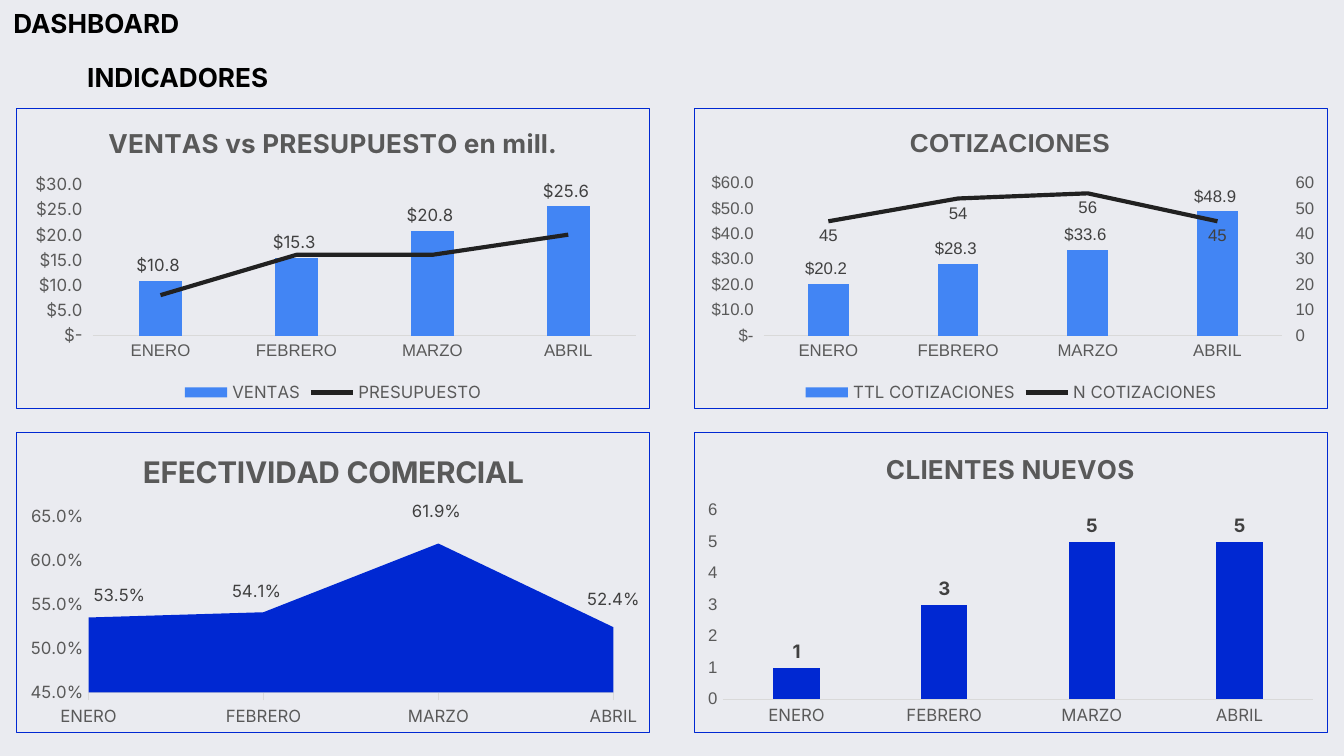
"""Build the sales dashboard slide with its four native charts."""
from copy import deepcopy
from pptx import Presentation
from pptx.chart.data import CategoryChartData
from pptx.dml.color import RGBColor
from pptx.enum.chart import (XL_CHART_TYPE, XL_LABEL_POSITION, XL_LEGEND_POSITION,
                             XL_MARKER_STYLE, XL_TICK_MARK)
from pptx.enum.text import MSO_ANCHOR, MSO_AUTO_SIZE, PP_ALIGN
from pptx.oxml import parse_xml
from pptx.oxml.ns import nsdecls, qn
from pptx.util import Pt

BAR, AREA = XL_CHART_TYPE.COLUMN_CLUSTERED, XL_CHART_TYPE.AREA_STACKED
OUTER, BELOW = XL_LABEL_POSITION.OUTSIDE_END, XL_LABEL_POSITION.BELOW
NONE, OUT = XL_TICK_MARK.NONE, XL_TICK_MARK.OUTSIDE
SCALE = 9144000 / 1344
WIDE, HIGH = 634, 301
LEFTS, TOPS = (16, 694), (108, 432)
INK, GRAY, DARK, RULE = "000000", "595959", "404040", "D9D9D9"
BLUE, SKY, COAL, BACK = "0028D2", "4285F4", "212121", "EAEBF0"
MONEY = '"$"#,##0.0_-;-"$"#,##0.0_-;"$-"_-'
MONTHS = ["ENERO", "FEBRERO", "MARZO", "ABRIL"]

HEADS = [("DASHBOARD", (0, 1, 548, 46)), ("INDICADORES", (74, 55, 260, 46))]
CHARTS = [
    dict(kind=BAR, title="VENTAS vs PRESUPUESTO en mill.", spot=(87, 12), size=14,
         face="Inter", plot=(76, 76, 545, 152), fonts=("Arial", "Inter", "Inter"),
         span=(0, 30, 5), fmt=MONEY, color=SKY,
         rows=[("VENTAS", [10.8, 15.3, 20.8, 25.6]), ("PRESUPUESTO", [8, 16, 16, 20])]),
    dict(kind=BAR, title="COTIZACIONES", spot=(211, 12), size=14,
         face="Arial", plot=(69, 75, 520, 153), fonts=("Arial", "Arial", "Arial"),
         span=(0, 60, 10), fmt=MONEY, color=SKY, right=True,
         rows=[("TTL COTIZACIONES", [20.2, 28.3, 33.6, 48.9]),
               ("N COTIZACIONES", [45, 54, 56, 45])]),
    dict(kind=AREA, title="EFECTIVIDAD COMERCIAL", spot=(121, 14), size=16,
         face="Inter", plot=(72, 84, 526, 177), fonts=("Inter", "Inter", "Inter"),
         span=(0.45, 0.65, 0.05), fmt="0.0%", color=BLUE,
         moves=[(31, -60), (-7, -61), (-2, -107), (0, -61)],
         rows=[("EFECTIVIDAD COMERCIAL", [0.535, 0.541, 0.619, 0.524])]),
    dict(kind=BAR, title="CLIENTES NUEVOS", spot=(187, 14), size=14,
         face="Inter", plot=(28, 78, 592, 190), fonts=("Inter", "Arial", "Inter"),
         span=(0, 6, 1), fmt="0", color=BLUE, bold=True,
         rows=[("Series 1", [1, 3, 5, 5])]),
]


def px(*nums):
    return [round(n * SCALE) for n in nums]


def rgb(code):
    return RGBColor.from_string(code)


def style(font, face, size, color, bold=False):
    font.name, font.size, font.bold = face, Pt(size), bold
    font.color.rgb = rgb(color)


def paint(line, color, width):
    line.color.rgb = rgb(color)
    line.width = Pt(width)


def place(node, index, spot, inner=False):
    for old in node.findall(qn("c:layout")):
        node.remove(old)
    vals = [v / side for v, side in zip(spot, (WIDE, HIGH, WIDE, HIGH))]
    tags = '<c:layoutTarget val="inner"/>' if inner else ""
    if node.tag != qn("c:dLbl"):
        tags += '<c:xMode val="edge"/><c:yMode val="edge"/>'
    tags += "".join(f'<c:{k} val="{v:.4f}"/>' for k, v in zip("xywh", vals))
    node.insert(index, parse_xml(
        f'<c:layout {nsdecls("c")}><c:manualLayout>{tags}</c:manualLayout></c:layout>'))


def frame(chart):
    root = chart.element
    for old in root.findall(qn("c:spPr")):
        root.remove(old)
    root.find(qn("c:chart")).addnext(parse_xml(
        f'<c:spPr {nsdecls("c", "a")}><a:noFill/><a:ln w="9525"><a:solidFill>'
        f'<a:srgbClr val="{BLUE}"/></a:solidFill></a:ln></c:spPr>'))


def set_axes(chart, item):
    cat, val = chart.category_axis, chart.value_axis
    for axis, face in zip((cat, val), item["fonts"]):
        style(axis.tick_labels.font, face, 9, GRAY)
        axis.has_major_gridlines = False
        axis.major_tick_mark = axis.minor_tick_mark = NONE
    paint(cat.format.line, RULE, 0.75)
    if item["kind"] == AREA:
        cat.major_tick_mark = OUT
    val.format.line.fill.background()
    val.minimum_scale, val.maximum_scale, val.major_unit = item["span"]
    val.tick_labels.number_format = item["fmt"]
    val.tick_labels.number_format_is_linked = False


def add_right(area):
    cat, val = (area.find(qn(tag)) for tag in ("c:catAx", "c:valAx"))
    new_cat, new_val = deepcopy(cat), deepcopy(val)
    val.addnext(new_val)
    new_val.addnext(new_cat)
    edits = [(new_val, {"axId": "902", "crossAx": "901", "axPos": "r",
                        "crosses": "max", "majorTickMark": "out"}),
             (new_cat, {"axId": "901", "crossAx": "902", "delete": "1"})]
    for node, marks in edits:
        for tag, mark in marks.items():
            node.find(qn("c:" + tag)).set("val", mark)
    new_val.find(qn("c:numFmt")).set("formatCode", "0")
    return ["901", "902"]


def add_line(chart, right):
    area = chart.element.find(".//" + qn("c:plotArea"))
    bars = area.find(qn("c:barChart"))
    row = bars.findall(qn("c:ser"))[1]
    for old in row.findall(qn("c:invertIfNegative")):
        row.remove(old)
    ids = [n.get("val") for n in bars.findall(qn("c:axId"))]
    if right:
        ids = add_right(area)
    tags = "".join(f'<c:axId val="{n}"/>' for n in ids)
    plot = parse_xml(f'<c:lineChart {nsdecls("c")}><c:grouping val="standard"/>'
                     f'<c:varyColors val="0"/><c:marker val="1"/>{tags}</c:lineChart>')
    plot.insert(2, row)
    bars.addnext(plot)
    line = chart.plots[1].series[0]
    paint(line.format.line, COAL, 2.25)
    line.marker.style = XL_MARKER_STYLE.NONE
    line.smooth = False
    if right:
        label(line, "Arial", "0", BELOW)


def label(row, face, fmt, spot=None, bold=False):
    tags = row.data_labels
    tags.show_value = True
    tags.number_format, tags.number_format_is_linked = fmt, False
    style(tags.font, face, 10 if bold else 9, DARK, bold)
    if spot is not None:
        tags.position = spot


def shift(row, moves):
    tags = row.data_labels._element
    for i, move in enumerate(moves):
        style(row.points[i].data_label.font, "Inter", 9, DARK)
        place(tags.findall(qn("c:dLbl"))[i], 1, move)
    for old in tags.findall(qn("c:showLeaderLines")):
        tags.remove(old)
    tags.append(parse_xml(f'<c:showLeaderLines {nsdecls("c")} val="0"/>'))


def add_chart(slide, item, left, top):
    data = CategoryChartData(number_format=item["fmt"])
    data.categories = MONTHS
    for name, vals in item["rows"]:
        data.add_series(name, vals)
    chart = slide.shapes.add_chart(item["kind"], *px(left, top, WIDE, HIGH), data).chart
    style(chart.font, "Arial", 10, INK)
    frame(chart)
    chart.has_title = True
    text = chart.chart_title.text_frame
    text.text = item["title"]
    style(text.paragraphs[0].runs[0].font, item["face"], item["size"], GRAY, True)
    chart.chart_title.include_in_layout = False
    place(chart.element.find(".//" + qn("c:title")), 1, item["spot"])
    place(chart.element.find(".//" + qn("c:plotArea")), 0, item["plot"], True)
    set_axes(chart, item)
    plot = chart.plots[0]
    plot.vary_by_categories = False
    row = plot.series[0]
    row.format.fill.solid()
    row.format.fill.fore_color.rgb = rgb(item["color"])
    bars = item["kind"] == BAR
    label(row, item["fonts"][2], item["fmt"], OUTER if bars else None, item.get("bold", False))
    if bars:
        plot.gap_width = 219
        plot.overlap = -27 if item.get("bold") else 0
    else:
        shift(row, item["moves"])
    chart.has_legend = len(item["rows"]) > 1
    if chart.has_legend:
        add_line(chart, item.get("right", False))
        chart.legend.position = XL_LEGEND_POSITION.BOTTOM
        chart.legend.include_in_layout = False
        style(chart.legend.font, "Inter", 9, GRAY)


def main():
    deck = Presentation()
    deck.slide_width, deck.slide_height = px(1344, 756)
    slide = deck.slides.add_slide(deck.slide_layouts[5])
    slide.background.fill.solid()
    slide.background.fill.fore_color.rgb = rgb(BACK)
    boxes = [slide.shapes.title, slide.shapes.add_textbox(0, 0, 0, 0)]
    for box, (words, spot) in zip(boxes, HEADS):
        box.left, box.top, box.width, box.height = px(*spot)
        text = box.text_frame
        text.text = words
        text.word_wrap = True
        text.auto_size = MSO_AUTO_SIZE.NONE
        text.vertical_anchor = MSO_ANCHOR.TOP
        text.paragraphs[0].alignment = PP_ALIGN.LEFT
        style(text.paragraphs[0].runs[0].font, "Inter", 14, INK, True)
    for i, item in enumerate(CHARTS):
        add_chart(slide, item, LEFTS[i % 2], TOPS[i // 2])
    deck.save("out.pptx")


if __name__ == "__main__":
    main()
